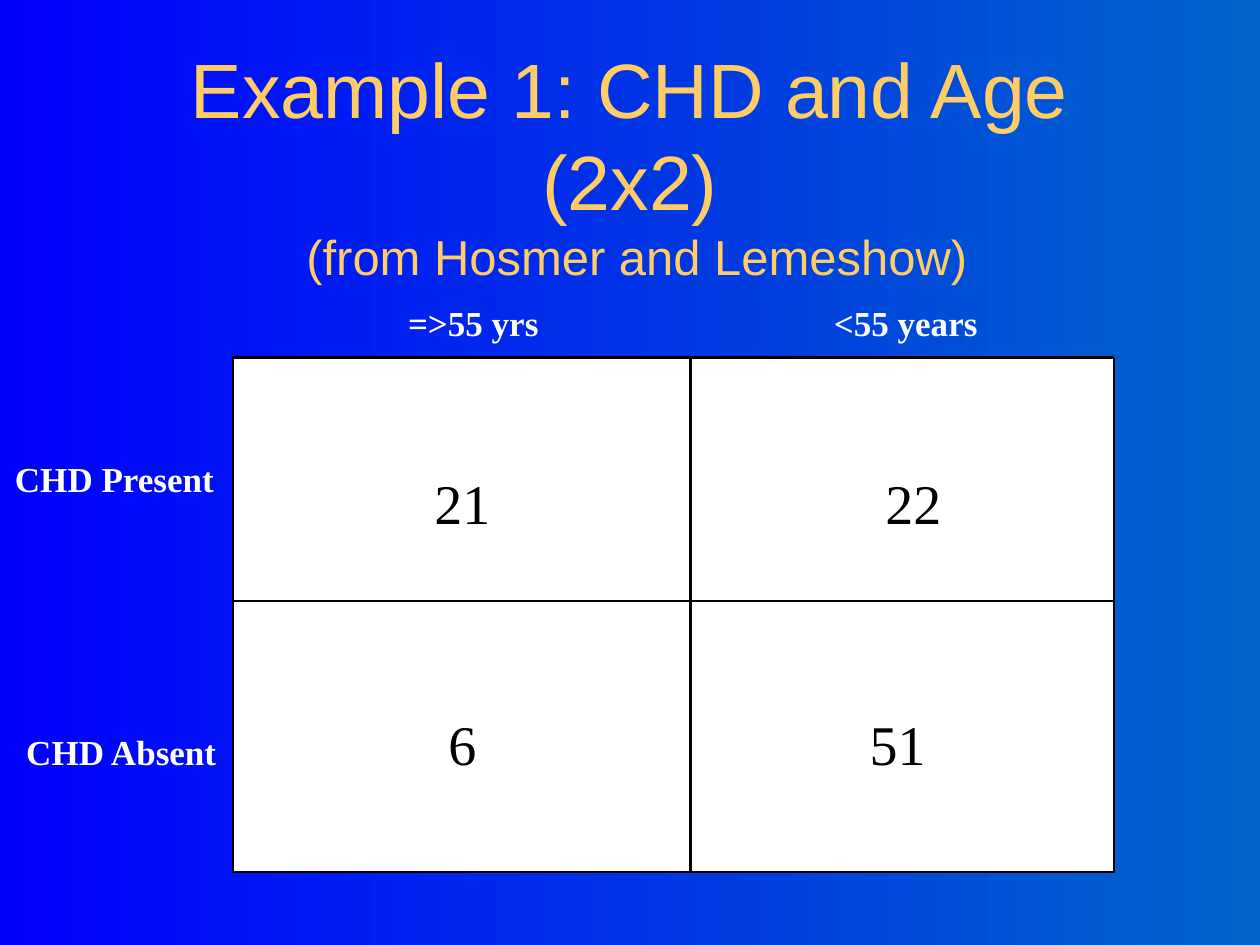
from dataclasses import dataclass

from lxml.etree import SubElement
from pptx import Presentation
from pptx.dml.color import RGBColor
from pptx.enum.shapes import MSO_CONNECTOR, MSO_SHAPE
from pptx.enum.text import MSO_ANCHOR, PP_ALIGN
from pptx.oxml.ns import qn
from pptx.util import Inches, Pt


@dataclass(frozen=True)
class Theme:
    heading_font: str = "Arial"
    body_font: str = "Times New Roman"
    title_size: int = 44
    subtitle_size: int = 28
    label_size: int = 20
    count_size: int = 32
    gold: RGBColor = RGBColor(0xFF, 0xCC, 0x66)
    white: RGBColor = RGBColor(0xFF, 0xFF, 0xFF)
    black: RGBColor = RGBColor(0, 0, 0)
    gradient: tuple = (RGBColor(0, 0x66, 0xCC), RGBColor(0, 0, 0xFF))


class SlideBuilder:
    def __init__(self, slide, theme):
        self.slide = slide
        self.theme = theme

    def background(self):
        fill = self.slide.background.fill
        fill.gradient()
        fill.gradient_angle = 180
        for stop, color in zip(fill.gradient_stops, self.theme.gradient):
            stop.color.rgb = color

    def text_frame(self, left, top, width, height):
        box = self.slide.shapes.add_textbox(
            Inches(left), Inches(top), Inches(width), Inches(height))
        box.text_frame.word_wrap = True
        return box.text_frame

    def style(self, font, name, size, color, bold=False):
        font.name, font.size, font.bold = name, Pt(size), bold
        font.color.rgb = color

    def title(self, heading, source, left, top, width, height):
        frame = self.text_frame(left, top, width, height)
        frame.vertical_anchor = MSO_ANCHOR.MIDDLE
        paragraph = frame.paragraphs[0]
        paragraph.alignment = PP_ALIGN.CENTER
        theme = self.theme
        self.style(paragraph.font, theme.heading_font, theme.title_size, theme.gold)
        paragraph.add_run().text = heading
        paragraph.add_line_break()
        credit = paragraph.add_run()
        credit.text = source
        credit.font.size = Pt(theme.subtitle_size)

    def label(self, text, left, top, width, height=0.75):
        frame = self.text_frame(left, top, width, height)
        frame.margin_bottom = 0
        paragraph = frame.paragraphs[0]
        paragraph.text = text
        self.style(paragraph.font, self.theme.body_font, self.theme.label_size,
                   self.theme.white, bold=True)

    def count(self, value, left, top, width):
        frame = self.text_frame(left, top, width, 0.59)
        frame.margin_bottom = 0
        paragraph = frame.paragraphs[0]
        paragraph.text = str(value)
        paragraph.alignment = PP_ALIGN.CENTER
        paragraph.space_before = Pt(20)
        self.style(paragraph.font, self.theme.body_font, self.theme.count_size,
                   self.theme.black)

    def rectangle(self, left, top, right, bottom, weight, fill=None):
        panel = self.slide.shapes.add_shape(
            MSO_SHAPE.RECTANGLE, Inches(left), Inches(top),
            Inches(right - left), Inches(bottom - top))
        panel.shadow.inherit = False
        if fill is None:
            panel.fill.background()
        else:
            panel.fill.solid()
            panel.fill.fore_color.rgb = fill
        panel.line.color.rgb = self.theme.black
        panel.line.width = Pt(weight)

    def divider(self, x1, y1, x2, y2):
        line = self.slide.shapes.add_connector(
            MSO_CONNECTOR.STRAIGHT, Inches(x1), Inches(y1), Inches(x2), Inches(y2))
        line.line.color.rgb = self.theme.black
        line.line.width = Pt(1.25)
        SubElement(line._element.spPr, qn("a:effectLst"))


def main():
    presentation = Presentation()
    presentation.slide_width, presentation.slide_height = Inches(10), Inches(7.5)
    slide = presentation.slides.add_slide(presentation.slide_layouts[6])
    builder = SlideBuilder(slide, Theme())

    # Background and title
    builder.background()
    builder.title("Example 1: CHD and Age (2x2)", " (from Hosmer and Lemeshow)",
                  0.75, 0.67, 8.5, 1.25)

    # Two-by-two grid
    left, top, right, bottom = 1.85, 2.84, 8.84, 6.92
    row_split, column_split = 4.77, 5.48
    builder.rectangle(left, top - 0.01, right, bottom, 0.75, builder.theme.white)
    builder.rectangle(left, top, right, bottom, 1.25)
    builder.divider(left, row_split, right, row_split)
    builder.divider(column_split, top, column_split, bottom)

    # Age columns and CHD rows
    builder.label("=>55 yrs", 3.14, 2.34, 2.9, 1)
    builder.label("<55 years", 6.52, 2.34, 1.99)
    builder.label("CHD Present", 0.02, 3.58, 2.25)
    builder.label("CHD Absent", 0.11, 5.75, 2.25)

    # Counts
    present_top, absent_top = 3.67, 5.58
    for value, count_left, count_top, width in (
            (21, 2.67, present_top, 2), (22, 6.25, present_top, 2),
            (6, 2.67, absent_top, 2), (51, 6, absent_top, 2.25)):
        builder.count(value, count_left, count_top, width)

    presentation.save("out.pptx")


if __name__ == "__main__":
    main()
